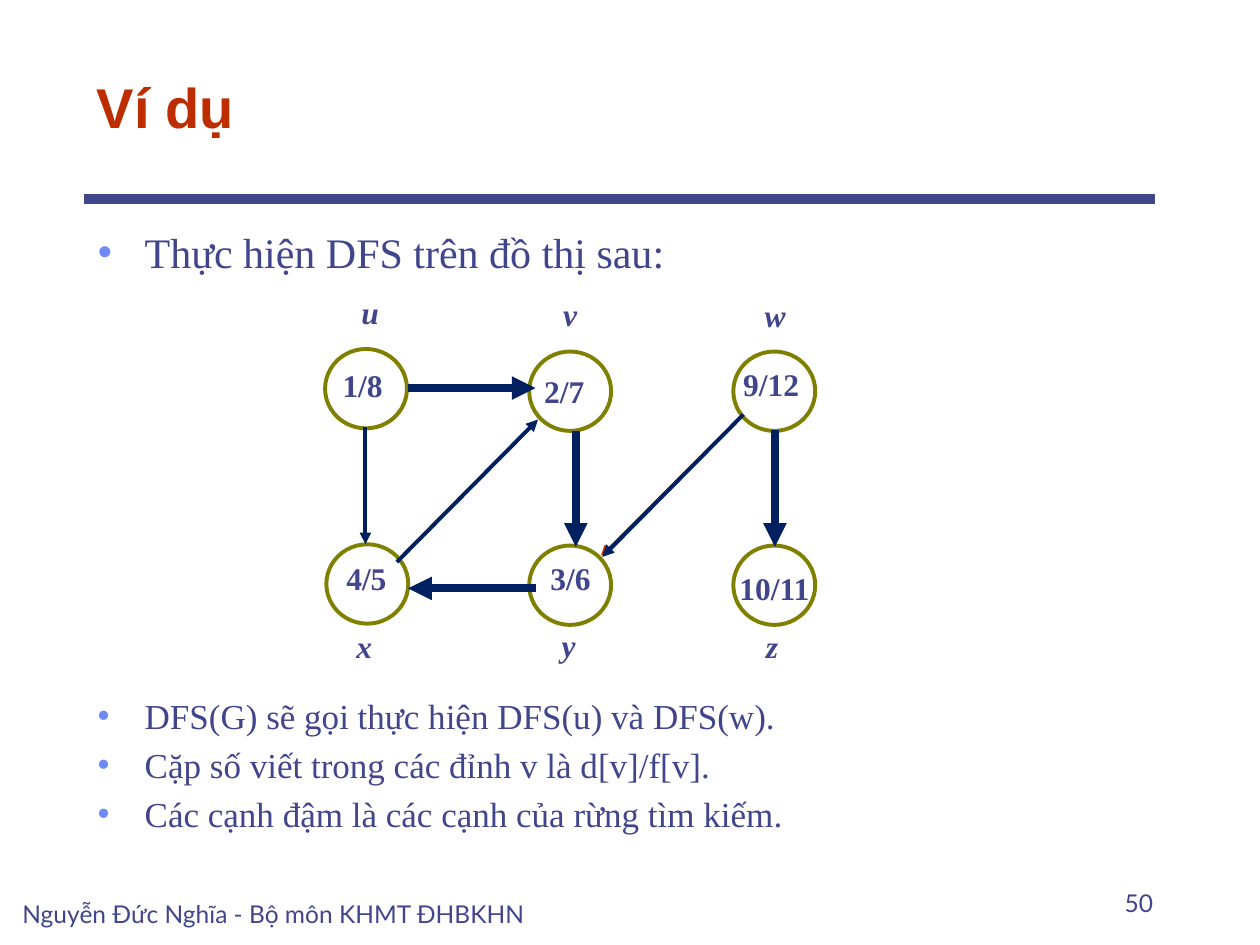
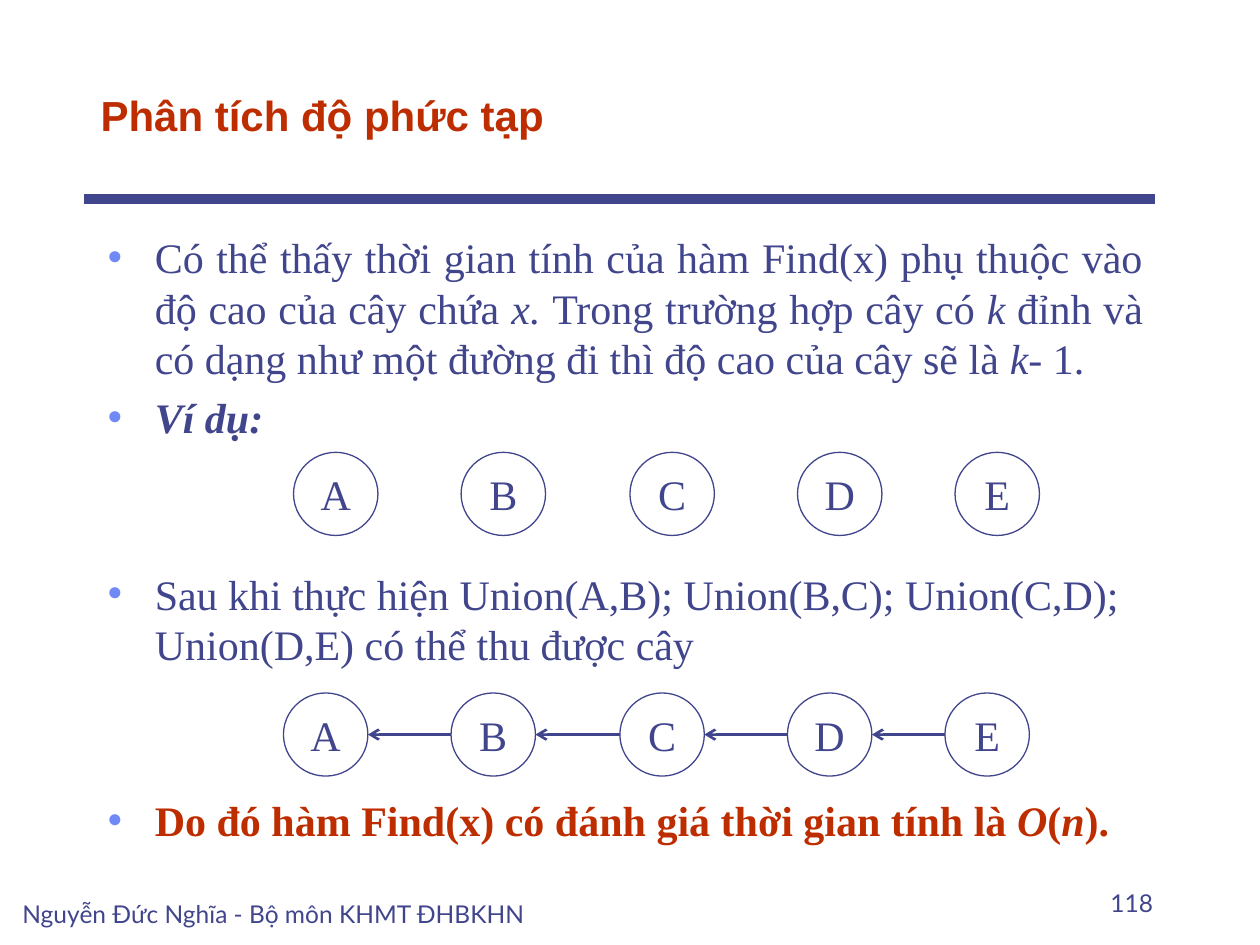
from lxml.etree import SubElement
from pptx import Presentation
from pptx.dml.color import RGBColor
from pptx.enum.shapes import MSO_CONNECTOR as Connector, MSO_SHAPE as Shape
from pptx.enum.text import MSO_ANCHOR as Anchor, PP_ALIGN as Align
from pptx.oxml.ns import qn
from pptx.util import Inches, Pt

INDIGO = RGBColor(0x40, 0x45, 0x8C)
RUST = RGBColor(0xBE, 0x2D, 0x00)
OLIVE = RGBColor(0x80, 0x80, 0x00)
NAVY = RGBColor(0x00, 0x20, 0x60)
BULLET_BLUE = RGBColor(0x6F, 0x89, 0xF7)
WHITE = RGBColor(0xFF, 0xFF, 0xFF)

TITLE_FONT = "Arial"
BODY_FONT = "Times New Roman"
FOOTER_FONT = "Lato"
FOOTER = "Nguyễn Đức Nghĩa - Bộ môn KHMT ĐHBKHN"


def write(para, text, size=24, font=BODY_FONT, color=INDIGO, bold=False, italic=False):
    """Append one formatted span to a paragraph."""
    span = para.add_run()
    span.text = text
    span.font.size = Pt(size)
    span.font.name = font
    span.font.color.rgb = color
    span.font.bold = bold
    span.font.italic = italic


def add_bullet(para):
    properties = para._p.get_or_add_pPr()
    properties.set("marL", str(Inches(0.38)))
    properties.set("indent", str(Inches(-0.38)))
    color = SubElement(properties, qn("a:buClr"))
    SubElement(color, qn("a:srgbClr"), val=str(BULLET_BLUE))
    SubElement(properties, qn("a:buSzPct"), val="110000")
    SubElement(properties, qn("a:buFont"), typeface=BODY_FONT)
    SubElement(properties, qn("a:buChar"), char="•")


class Lecture:
    """Holds the deck, its shared style and the slide being filled."""

    def __init__(self):
        self.deck = Presentation()
        self.deck.slide_width = Inches(10)
        self.deck.slide_height = Inches(7.5)
        self.page = None

    def start_page(self, title, number, title_size, title_indent=0):
        self.page = self.deck.slides.add_slide(self.deck.slide_layouts[6])
        self.page.background.fill.solid()
        self.page.background.fill.fore_color.rgb = WHITE
        self.line((0.67, 1.58), (9.17, 1.58), INDIGO, 6)
        self.text(title, 0.67 + title_indent, 0.33, 8.5, 0.83, anchor=Anchor.BOTTOM,
                  size=title_size, font=TITLE_FONT, color=RUST, bold=True)
        footer_style = dict(anchor=Anchor.BOTTOM, size=14, font=FOOTER_FONT)
        self.text(FOOTER, 0.08, 6.92, 4.67, 0.5, **footer_style)
        self.text(str(number), 7.17, 6.83, 2.08, 0.5, align=Align.RIGHT, **footer_style)

    def box(self, left, top, width, height, wrap=True, anchor=Anchor.TOP):
        box = self.page.shapes.add_textbox(
            Inches(left), Inches(top), Inches(width), Inches(height))
        box.text_frame.word_wrap = wrap
        box.text_frame.vertical_anchor = anchor
        return box.text_frame

    def text(self, text, left, top, width, height, align=Align.LEFT,
             wrap=True, anchor=Anchor.TOP, **style):
        para = self.box(left, top, width, height, wrap, anchor).paragraphs[0]
        para.alignment = align
        write(para, text, **style)

    def bullets(self, items, left, top, width, height, size=24):
        """Each item is an alignment and a list of (text, style) spans."""
        frame = self.box(left, top, width, height)
        for index, (align, spans) in enumerate(items):
            para = frame.add_paragraph() if index else frame.paragraphs[0]
            add_bullet(para)
            para.alignment = align
            if index:
                para.space_before = Pt(0.2 * size)
            for text, style in spans:
                write(para, text, size=size, **style)

    def circle(self, left, top, width, height, color, weight, label=""):
        circle = self.page.shapes.add_shape(
            Shape.OVAL, Inches(left), Inches(top), Inches(width), Inches(height))
        circle.shadow.inherit = False
        circle.fill.background()
        circle.line.color.rgb = color
        circle.line.width = Pt(weight)
        if label:
            frame = circle.text_frame
            frame.word_wrap = False
            frame.vertical_anchor = Anchor.MIDDLE
            frame.paragraphs[0].alignment = Align.CENTER
            write(frame.paragraphs[0], label)

    def line(self, start, end, color, weight, head=None):
        line = self.page.shapes.add_connector(
            Connector.STRAIGHT, *(Inches(value) for value in (*start, *end)))
        line.line.color.rgb = color
        line.line.width = Pt(weight)
        if head:
            SubElement(line.line._get_or_add_ln(), qn("a:tailEnd"), type=head)
        SubElement(line._element.spPr, qn("a:effectLst"))


def build_search_example(lecture):
    lecture.start_page("Ví dụ", 50, title_size=32)
    lecture.bullets([(Align.LEFT, [("Thực hiện DFS trên đồ thị sau:", {})])],
                    0.67, 1.75, 8.75, 0.5)
    notes = ["DFS(G) sẽ gọi thực hiện DFS(u) và DFS(w).",
             "Cặp số viết trong các đỉnh v là d[v]/f[v].",
             "Các cạnh đậm là các cạnh của rừng tìm kiếm."]
    lecture.bullets([(Align.LEFT, [(note, {})]) for note in notes],
                    0.67, 5.46, 8.75, 1.2, size=20)

    # Circle corner, then name and times, each as text, left, top, width
    vertices = [
        ((2.58, 2.77), ("u", 2.77, 2.28, 0.34), ("1/8", 2.62, 2.86, 0.52)),
        ((4.20, 2.79), ("v", 4.37, 2.29, 0.31), ("2/7", 4.22, 2.90, 0.52)),
        ((5.82, 2.79), ("w", 5.97, 2.30, 0.37), ("9/12", 5.80, 2.85, 0.65)),
        ((2.59, 4.32), ("x", 2.73, 4.93, 0.33), ("4/5", 2.65, 4.39, 0.52)),
        ((4.20, 4.33), ("y", 4.36, 4.92, 0.31), ("3/6", 4.27, 4.39, 0.52)),
        ((5.82, 4.33), ("z", 5.98, 4.93, 0.30), ("10/11", 5.77, 4.47, 0.76)),
    ]
    tree_edges = [((3.24, 3.08), (4.25, 3.08)), ((4.57, 3.42), (4.57, 4.34)),
                  ((4.25, 4.67), (3.24, 4.67)), ((6.15, 3.41), (6.15, 4.34))]
    other_edges = [((2.9, 3.39), (2.9, 4.32)), ((3.15, 4.46), (4.27, 3.33)),
                   ((5.9, 3.29), (4.78, 4.42))]

    lecture.line((5.89, 3.29), (4.77, 4.41), RUST, 0.75, "triangle")
    for corner, _, _ in vertices:
        lecture.circle(*corner, 0.65, 0.63, OLIVE, 2.25)
    for edges, weight in ((tree_edges, 4.5), (other_edges, 2.25)):
        for start, end in edges:
            lecture.line(start, end, NAVY, weight, "triangle")
    for _, name, times in vertices:
        for label, italic in ((name, True), (times, False)):
            lecture.text(*label, 0.4, wrap=False, size=18, bold=True, italic=italic)


def build_complexity(lecture):
    lecture.start_page("Phân tích độ phức tạp", 118, title_size=24, title_indent=0.03)
    italic = dict(italic=True)
    strong = dict(color=RUST, bold=True)
    strong_italic = dict(strong, italic=True)
    height_note = [
        ("Có thể thấy thời gian tính của hàm Find(x) phụ thuộc vào "
         "độ cao của cây chứa ", {}),
        ("x. ", italic), ("Trong trường hợp cây có ", {}), ("k ", italic),
        ("đỉnh và có dạng như một đường đi thì độ cao của cây sẽ là ", {}),
        ("k", italic), ("- 1.", {})]
    union_note = [("Sau khi thực hiện Union(A,B); Union(B,C); Union(C,D); "
                   "Union(D,E) có thể thu được cây", {})]
    conclusion = [("Do đó hàm Find(x) có đánh giá thời gian tính là ", strong),
                  ("O", strong_italic), ("(", strong), ("n", strong_italic), (").", strong)]
    example = [("Ví dụ:", dict(bold=True, italic=True))]
    groups = [(1.79, 1.8, [(Align.JUSTIFY, height_note), (Align.LEFT, example)]),
              (4.46, 0.9, [(Align.LEFT, union_note)]),
              (6.26, 0.5, [(Align.LEFT, conclusion)])]
    for top, height, items in groups:
        lecture.bullets(items, 0.75, top, 8.42, height)

    diameter = 0.67
    offsets = [0, 1.33, 2.67, 4, 5.25]
    tree_left = 2.25
    for left, top in ((2.33, 3.59), (tree_left, 5.5)):
        for letter, offset in zip("ABCDE", offsets):
            lecture.circle(left + offset, top, diameter, 0.66, INDIGO, 0.75, letter)
    for parent, child in zip(offsets, offsets[1:]):
        lecture.line((tree_left + child, 5.83), (tree_left + parent + diameter, 5.83),
                     INDIGO, 1.5, "arrow")


def main():
    lecture = Lecture()
    build_search_example(lecture)
    build_complexity(lecture)
    lecture.deck.save("out.pptx")


if __name__ == "__main__":
    main()
